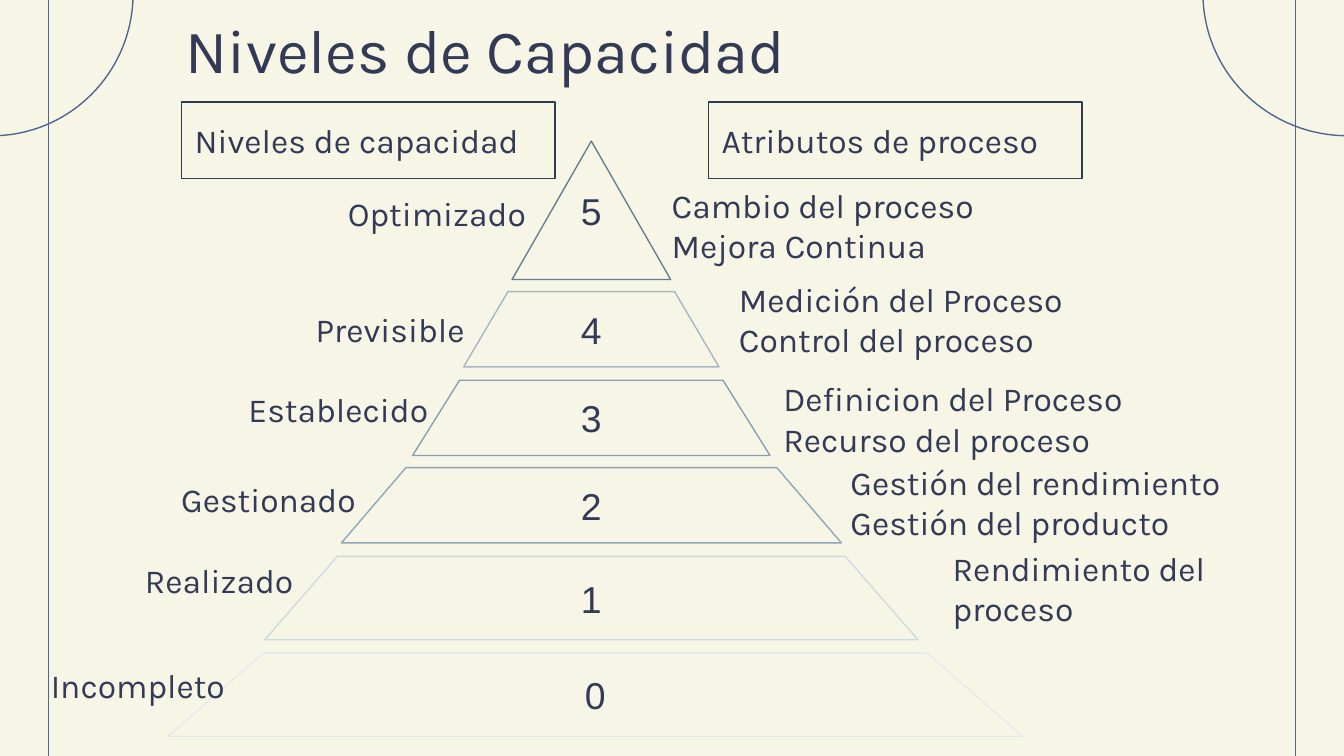
from lxml.etree import SubElement
from pptx import Presentation
from pptx.dml.color import RGBColor
from pptx.enum.shapes import MSO_CONNECTOR, MSO_SHAPE
from pptx.enum.text import MSO_ANCHOR, PP_ALIGN
from pptx.oxml.ns import qn
from pptx.util import Inches, Pt

CREAM = RGBColor(0xF7, 0xF5, 0xE6)
NAVY = RGBColor(0x33, 0x3A, 0x56)
BLUE = RGBColor(0x52, 0x65, 0x8F)

# Content
TITLE = "Niveles de Capacidad"
HEADINGS = [("Niveles de capacidad", 1.35), ("Atributos de proceso", 5.27)]
# number, centre, top, height, half width at top and at bottom, line colour
LEVELS = [
    ("5", 4.4, 1.05, 1.03, 0, 0.59, "667E92"),
    ("4", 4.4, 2.17, 0.56, 0.62, 0.95, "A5B7C5"),
    ("3", 4.4, 2.83, 0.56, 0.98, 1.33, "869FB1"),
    ("2", 4.4, 3.48, 0.56, 1.38, 1.86, "8FA6B7"),
    ("1", 4.4, 4.14, 0.62, 1.89, 2.43, "CFD9E0"),
    ("0", 4.43, 4.86, 0.62, 2.47, 3.18, "E3E9ED"),
]
# name, left, top, width
NAMES = [
    ("Optimizado", 2.49, 1.33, 1.81),
    ("Previsible", 2.25, 2.19, 1.53),
    ("Establecido", 1.75, 2.79, 1.81),
    ("Gestionado", 1.25, 3.46, 1.81),
    ("Realizado", 0.98, 4.06, 1.81),
    ("Incompleto", 0.28, 4.84, 1.81),
]
# attributes, left, top, width, height, bottom inset (larger lifts the text)
ATTRIBUTES = [
    ("Cambio del proceso\nMejora Continua", 4.9, 1.39, 3.37, 0.57, 0.1),
    ("Medición del Proceso\nControl del proceso", 5.4, 2.23, 3.37, 0.59, 0.4),
    ("Definicion del Proceso\nRecurso del proceso", 5.73, 2.97, 3.37, 0.59, 0.4),
    ("Gestión del rendimiento\nGestión del producto", 6.23, 3.59, 3.37, 0.59, 0.4),
    ("Rendimiento del proceso", 6.99, 4.23, 3.01, 0.59, 0.4),
]
SIDE_LINES = [0.36, 9.64]
# left, top, width, height, rotation
CORNER_ARCS = [(8.95, -1.11, 2.15, 2.12, 180), (-1.12, -1.1, 2.12, 2.1, 90)]


def write(shape, text, size=18, font="Karla", align=PP_ALIGN.LEFT, bottom=0.1):
    frame = shape.text_frame
    frame.text = text
    frame.word_wrap = True
    frame.vertical_anchor = MSO_ANCHOR.MIDDLE
    frame.margin_left = frame.margin_right = frame.margin_top = Inches(0.1)
    frame.margin_bottom = Inches(bottom)
    for para in frame.paragraphs:
        para.alignment = align
        for span in para.runs:
            span.font.size = Pt(size)
            span.font.name = font
            span.font.color.rgb = NAVY


def outline(shape, color):
    shape.shadow.inherit = False
    shape.fill.background()
    shape.line.color.rgb = color
    shape.line.width = Pt(0.75)


def add_label(shapes, text, left, top, width, height=0.51, bottom=0.1):
    box = shapes.add_textbox(*map(Inches, (left, top, width, height)))
    write(box, text, bottom=bottom)


# Page in 16:9
deck = Presentation()
deck.slide_width = Inches(10)
deck.slide_height = Inches(10) * 9 // 16
page = deck.slides.add_slide(deck.slide_layouts[5])
page.background.fill.solid()
page.background.fill.fore_color.rgb = CREAM
shapes = page.shapes

# Side lines and corner arcs
for x in SIDE_LINES:
    line = shapes.add_connector(
        MSO_CONNECTOR.STRAIGHT, Inches(x), Inches(5.65), Inches(x), Inches(-0.05))
    line.line.color.rgb = BLUE
    line.line.width = Pt(0.75)
    SubElement(line._element.spPr, qn("a:effectLst"))
for *place, rotation in CORNER_ARCS:
    arc = shapes.add_shape(MSO_SHAPE.ARC, *map(Inches, place))
    arc.rotation = rotation
    outline(arc, BLUE)

# Title
title = shapes.title
title.left, title.top = Inches(0.66), Inches(0.07)
title.width, title.height = Inches(5.91), Inches(0.59)
write(title, TITLE, size=33, align=PP_ALIGN.CENTER)

# Pyramid
for number, centre, top, height, half_top, half_bottom, color in LEVELS:
    bottom = top + height
    corners = [(centre - half_bottom, bottom), (centre + half_bottom, bottom)]
    if half_top:
        corners.append((centre + half_top, top))
    builder = shapes.build_freeform(
        Inches(centre - half_top), Inches(top), scale=1.0)
    builder.add_line_segments([(Inches(x), Inches(y)) for x, y in corners])
    level = builder.convert_to_shape()
    outline(level, RGBColor.from_string(color))
    write(level, number, size=20, font="Arial", align=PP_ALIGN.CENTER)

# Labels on both sides
for label in NAMES + ATTRIBUTES:
    add_label(shapes, *label)

# Headings
for text, left in HEADINGS:
    heading = shapes.add_shape(
        MSO_SHAPE.RECTANGLE, Inches(left), Inches(0.76), Inches(2.78), Inches(0.57))
    outline(heading, NAVY)
    write(heading, text)

deck.save("out.pptx")
